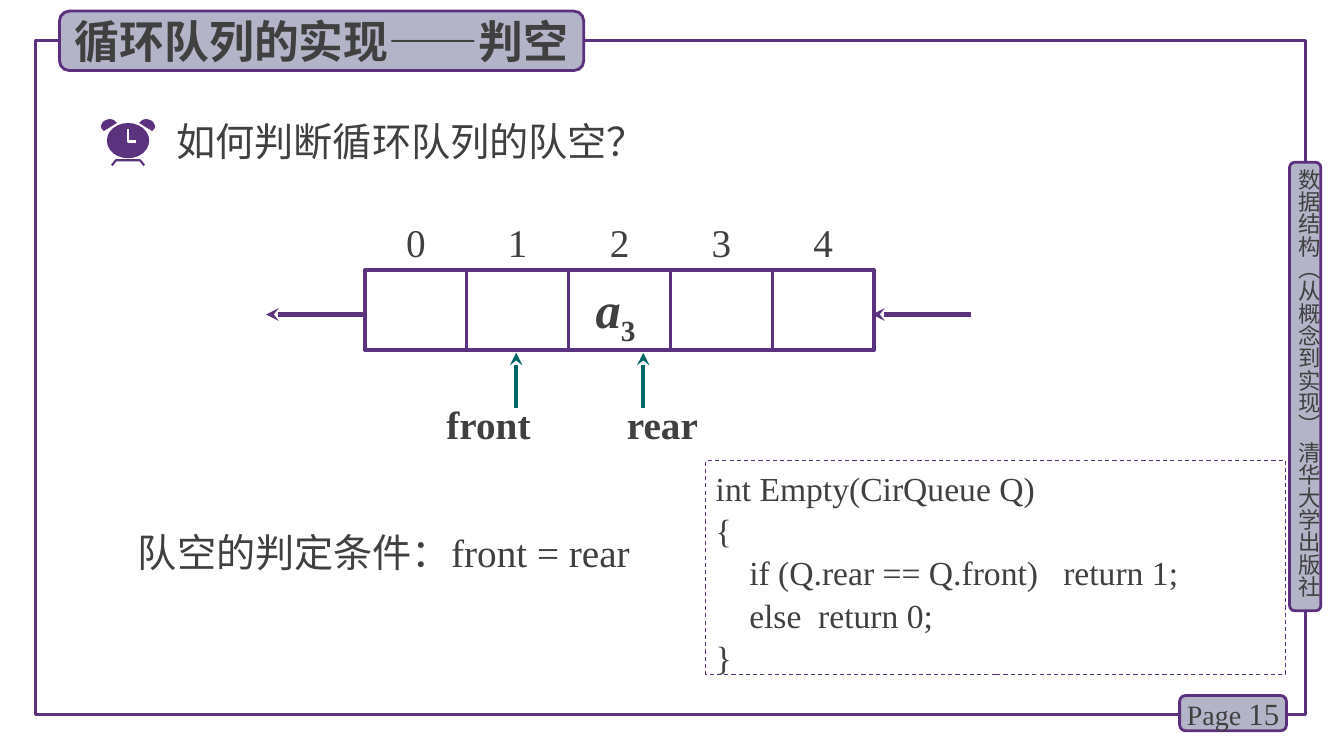
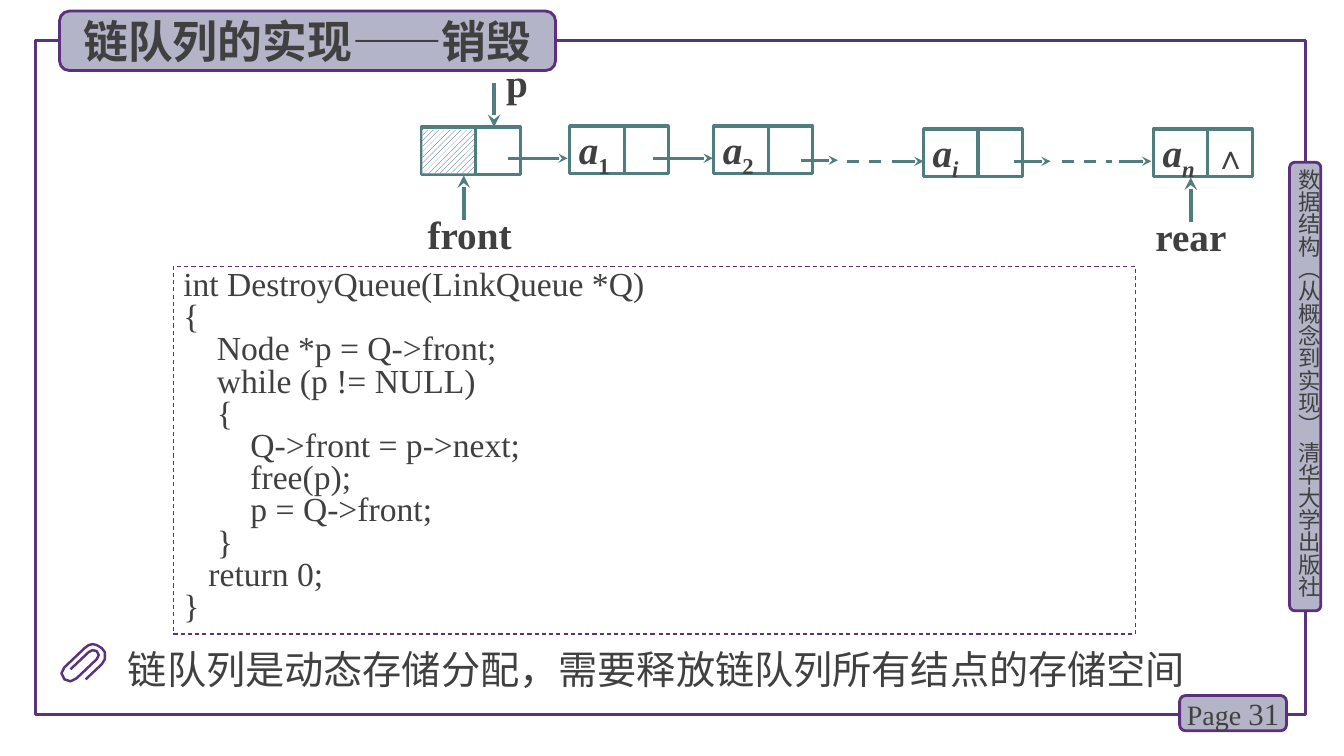
from lxml.etree import SubElement
from pptx import Presentation
from pptx.dml.color import RGBColor
from pptx.enum.dml import MSO_LINE as Dash, MSO_PATTERN as Pat
from pptx.enum.shapes import MSO_CONNECTOR as Conn, MSO_SHAPE as Kind
from pptx.enum.text import MSO_ANCHOR as Anchor, PP_ALIGN as Align
from pptx.oxml.ns import qn
from pptx.util import Inches, Pt

INK, PURPLE, EDGE, PLATE = "404040", "5A327D", "5C307D", "B4B4C8"
GREEN, TEAL, WHITE = "006666", "507D7D", "FFFFFF"
LATIN, HAN = "Times New Roman", "Noto Sans CJK SC"
PAD = (0.1, 0.05, 0.1, 0.05)
BARE = (0, 0, 0, 0)

SIDE = "数据结构（从概念到实现） 清华大学出版社"
EMPTY = {
    "title": "循环队列的实现——判空", "width": 5.2, "page": "15",
    "ask": "如何判断循环队列的队空？",
    "rule": "队空的判定条件：front = rear",
    "code": [
        "int Empty(CirQueue Q)",
        "{",
        "    if (Q.rear == Q.front)   return 1;",
        "    else  return 0;",
        "}",
    ],
}
DESTROY = {
    "title": "链队列的实现——销毁", "width": 4.92, "page": "31",
    "note": "链队列是动态存储分配，需要释放链队列所有结点的存储空间",
    "code": [
        "int DestroyQueue(LinkQueue *Q)",
        "{",
        "    Node *p = Q->front;",
        "    while (p != NULL)",
        "    {",
        "        Q->front = p->next;",
        "        free(p);",
        "        p = Q->front;",
        "    }",
        "   return 0;",
        "}",
    ],
}

CELLS, LEFT, STEP, TOP, TALL = 5, 3.62, 1.01, 2.68, 0.79
MARKS = [("front", 4.33, 5.12), ("rear", 6.12, 6.38)]
FLOWS = [(9.63, 8.65), (3.62, 2.64)]

NODES = [(4.18, 1.26, ""), (5.65, 1.25, "1"), (7.08, 1.25, "2"),
         (9.16, 1.28, "i"), (11.44, 1.28, "n")]
NODE_W, NODE_H, SPLIT = 0.98, 0.47, 0.54
LINKS = [(5.04, 5.63, 1.57), (6.48, 7.07, 1.57), (7.94, 8.31, 1.59),
         (8.85, 9.16, 1.6), (10.06, 10.42, 1.6), (11.1, 11.42, 1.6)]
GAPS = [(8.4, 8.76), (10.53, 11.03)]
ENDS = [("front", 4.24, 2.18, 4.6), ("rear", 11.46, 2.2, 11.81)]

MID = 1.27
BELL = [(1.16, 1.22), (1.03, 1.3), (1.01, 1.28), (1, 1.25), (1.02, 1.21),
        (1.05, 1.19), (1.09, 1.18), (1.13, 1.19)]
LEGS = [(1.11, 1.64), (1.15, 1.59), (1.39, 1.59), (1.43, 1.64)]
HANDS = [(1.27, 1.28), (1.27, 1.4), (1.35, 1.4)]
CLIP = [(0.7, 6.64), (0.88, 6.47), (0.92, 6.45), (0.96, 6.46), (0.98, 6.5),
        (0.96, 6.54), (0.76, 6.73), (0.7, 6.76), (0.64, 6.74), (0.61, 6.68),
        (0.64, 6.62), (0.84, 6.43), (0.88, 6.4), (0.92, 6.39), (0.96, 6.4),
        (1.01, 6.43), (1.04, 6.47), (1.04, 6.54), (1.01, 6.59), (0.85, 6.74)]


def color(code):
    """Turn a hex string into a colour."""
    return RGBColor.from_string(code)


def style(run, size, bold=False, italic=False, sub=False):
    """Set the font of one run."""
    font = run.font
    font.size, font.bold, font.italic = Pt(size), bold, italic
    font.name = LATIN
    font.color.rgb = color(INK)
    props = font._element
    SubElement(props, qn("a:ea")).set("typeface", HAN)
    if sub:
        props.set("baseline", "-25000")


def write(shape, lines, size, bold=False, italic=False, align=Align.LEFT,
          anchor=Anchor.TOP, pad=PAD, space=None):
    """Fill a shape with lines of text and return its last paragraph."""
    frame = shape.text_frame
    frame.word_wrap = True
    frame.vertical_anchor = anchor
    (frame.margin_left, frame.margin_top,
     frame.margin_right, frame.margin_bottom) = map(Inches, pad)
    frame.text = "\n".join(lines)
    for para in frame.paragraphs:
        para.alignment = align
        if space:
            para.line_spacing = space
        for run in para.runs:
            style(run, size, bold, italic)
    return para


def label(slide, box, text, size, **look):
    """Add a text box with one line."""
    shape = slide.shapes.add_textbox(*map(Inches, box))
    write(shape, [text], size, **look)
    return shape


def paint(shape, fill=None, line=None, width=2.25):
    """Set fill and outline, without a shadow."""
    shape.shadow.inherit = False
    if fill:
        shape.fill.solid()
        shape.fill.fore_color.rgb = color(fill)
    else:
        shape.fill.background()
    if line:
        shape.line.color.rgb = color(line)
        shape.line.width = Pt(width)
    else:
        shape.line.fill.background()
    return shape


def block(slide, box, kind=Kind.RECTANGLE, **look):
    """Add a preset shape."""
    return paint(slide.shapes.add_shape(kind, *map(Inches, box)), **look)


def plate(slide, box):
    """Add a rounded plate."""
    return block(slide, box, Kind.ROUNDED_RECTANGLE,
                 fill=PLATE, line=EDGE, width=2)


def rule(slide, start, end, hue, width=2.25, head=False, dash=False):
    """Add a straight line or an arrow."""
    link = slide.shapes.add_connector(
        Conn.STRAIGHT, *map(Inches, (*start, *end)))
    link.line.color.rgb = color(hue)
    link.line.width = Pt(width)
    if dash:
        link.line.dash_style = Dash.DASH
    if head:
        tip = SubElement(link.line._get_or_add_ln(), qn("a:tailEnd"))
        tip.set("type", "stealth")
    SubElement(link._element.spPr, qn("a:effectLst"))


def trace(slide, points, close=False, **look):
    """Add an outline through points."""
    spots = [(Inches(x), Inches(y)) for x, y in points]
    pen = slide.shapes.build_freeform(*spots[0])
    pen.add_line_segments(spots[1:], close=close)
    paint(pen.convert_to_shape(), **look)


def listing(slide, box, lines, space):
    """Add a dashed box of code."""
    shape = block(slide, box, line=PURPLE, width=0.75)
    shape.line.dash_style = Dash.DASH
    write(shape, lines, 24, space=space)


def symbol(shape, sub, size, **look):
    """Write the letter a with a subscript."""
    para = write(shape, ["a"], size, bold=True, italic=True, **look)
    run = para.add_run()
    run.text = sub
    style(run, size, True, sub.isalpha(), True)


def start(deck, data):
    """Add a slide with frame, side band, page plate and title."""
    slide = deck.slides.add_slide(deck.slide_layouts[6])
    block(slide, (0.35, 0.4, 12.6, 6.69), line=PURPLE)
    plate(slide, (12.79, 1.61, 0.31, 4.45))
    side = label(slide, (12.85, 1.67, 0.27, 4.49), SIDE, 16, pad=BARE)
    side.text_frame._txBody.bodyPr.set("vert", "eaVert")
    page = plate(slide, (11.7, 6.9, 1.06, 0.35))
    para = write(page, ["Page "], 20, align=Align.CENTER,
                 anchor=Anchor.MIDDLE, pad=BARE)
    run = para.add_run()
    run.text = data["page"]
    style(run, 22)
    title = plate(slide, (0.59, 0.11, data["width"], 0.59))
    write(title, [data["title"]], 32, bold=True, align=Align.CENTER, pad=BARE)
    return slide


def clock(slide):
    """Draw the alarm clock."""
    trace(slide, LEGS, line=PURPLE, width=1.5)
    for bell in (BELL, [(2 * MID - x, y) for x, y in BELL]):
        trace(slide, bell, close=True, fill=PURPLE)
    block(slide, (1.06, 1.22, 0.42, 0.35), Kind.OVAL, fill=PURPLE)
    trace(slide, HANDS, line=WHITE, width=2)


def empty(deck):
    """Build the slide on the empty test."""
    slide = start(deck, EMPTY)
    clock(slide)
    label(slide, (1.65, 1.11, 5.01, 0.57), EMPTY["ask"], 28)
    block(slide, (LEFT, TOP, CELLS * STEP, TALL), line=PURPLE, width=3)
    for i in range(CELLS):
        x = LEFT + i * STEP
        label(slide, (x, 2.12, STEP, 0.57), str(i), 28, align=Align.CENTER)
        if i:
            rule(slide, (x, TOP), (x, TOP + TALL), PURPLE)
    item = slide.shapes.add_textbox(*map(Inches, (5.81, 2.71, 0.64, 0.7)))
    symbol(item, "3", 36)
    for x, end in FLOWS:
        rule(slide, (x, 3.12), (end, 3.12), PURPLE, 3, head=True)
    for name, x, tip in MARKS:
        rule(slide, (tip, 4.05), (tip, 3.5), GREEN, 3, head=True)
        label(slide, (x, 3.92, 1.13, 0.57), name, 28, bold=True)
    label(slide, (1.27, 5.19, 5.7, 0.57), EMPTY["rule"], 28)
    listing(slide, (7, 4.57, 5.75, 2.12), EMPTY["code"], 1.05)


def destroy(deck):
    """Build the slide on destroying the queue."""
    slide = start(deck, DESTROY)
    listing(slide, (1.72, 2.64, 9.54, 3.65), DESTROY["code"], Pt(23))
    for x, y, sub in NODES:
        node = block(slide, (x, y, NODE_W, NODE_H), line=TEAL)
        cut = x + SPLIT
        rule(slide, (cut, y), (cut, y + NODE_H), TEAL)
        if sub:
            symbol(node, sub, 28, pad=(0.09, 0, 0, 0.08), space=0.9)
        else:
            hatch = block(slide, (x + 0.01, y + 0.03, 0.51, 0.43))
            hatch.fill.patterned()
            hatch.fill.pattern = Pat.WIDE_UPWARD_DIAGONAL
            hatch.fill.fore_color.rgb = color("1F497D")
            hatch.fill.back_color.rgb = color(WHITE)
    label(slide, (11.94, 1.3, 0.49, 0.5), "∧", 24, bold=True)
    for x, end, y in LINKS:
        rule(slide, (x, y), (end, y), TEAL, head=True)
    for x, end in GAPS:
        rule(slide, (x, 1.6), (end, 1.6), TEAL, dash=True)
    rule(slide, (4.9, 0.82), (4.9, 1.26), TEAL, 3, head=True)
    label(slide, (5.02, 0.67, 0.33, 0.47), "p", 28, bold=True,
          pad=BARE, space=0.8)
    for name, x, y, tip in ENDS:
        rule(slide, (tip, y), (tip, y - 0.44), TEAL, 3, head=True)
        label(slide, (x, y, 0.85, 0.35), name, 28, bold=True,
              pad=BARE, space=0.8)
    trace(slide, CLIP, line=PURPLE, width=1.75)
    label(slide, (1.17, 6.26, 10.81, 0.66), DESTROY["note"], 28,
          anchor=Anchor.MIDDLE, space=Pt(40))


def main():
    """Build and save the slides."""
    deck = Presentation()
    deck.slide_width, deck.slide_height = Inches(13.33), Inches(7.5)
    empty(deck)
    destroy(deck)
    deck.save("out.pptx")


if __name__ == "__main__":
    main()
